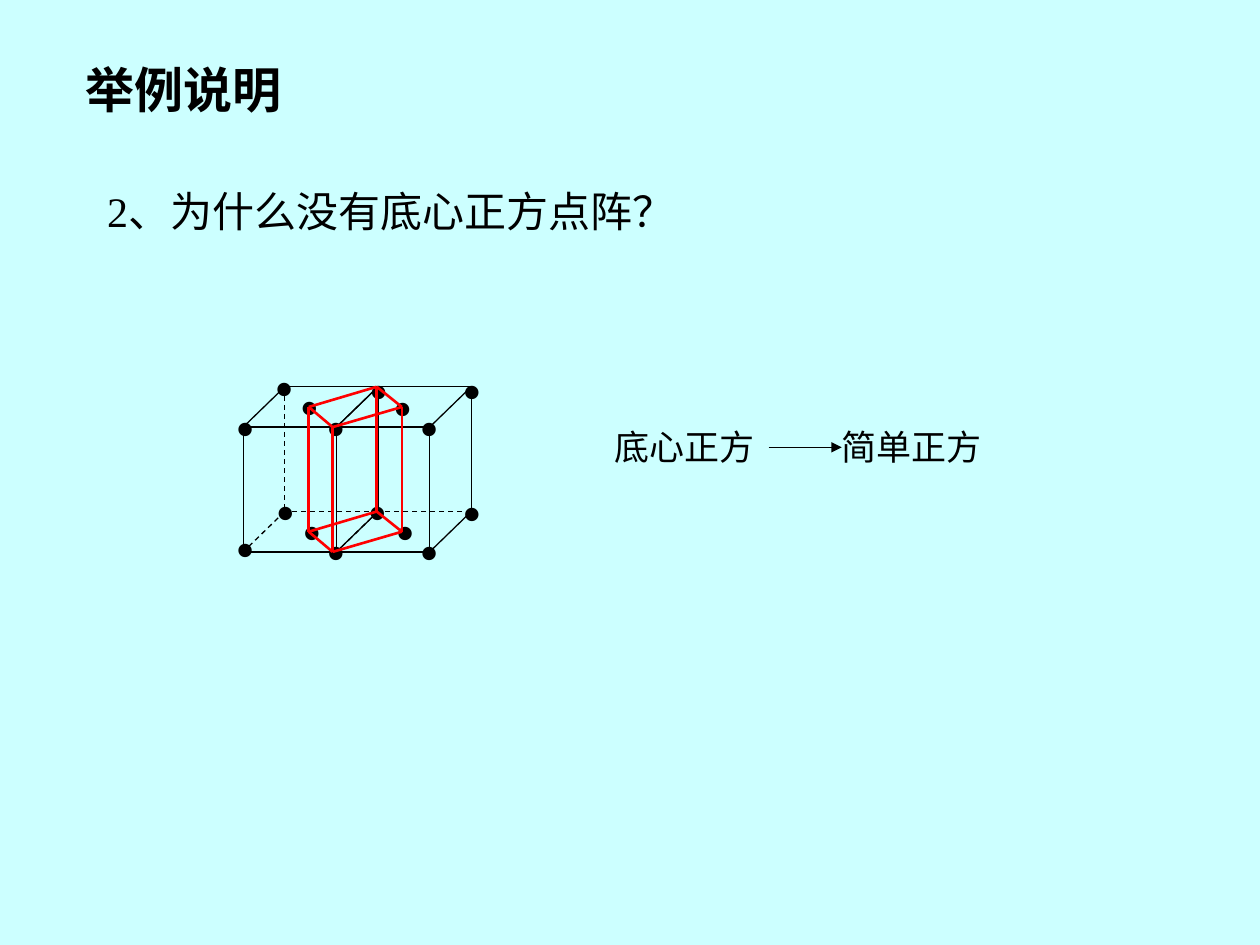
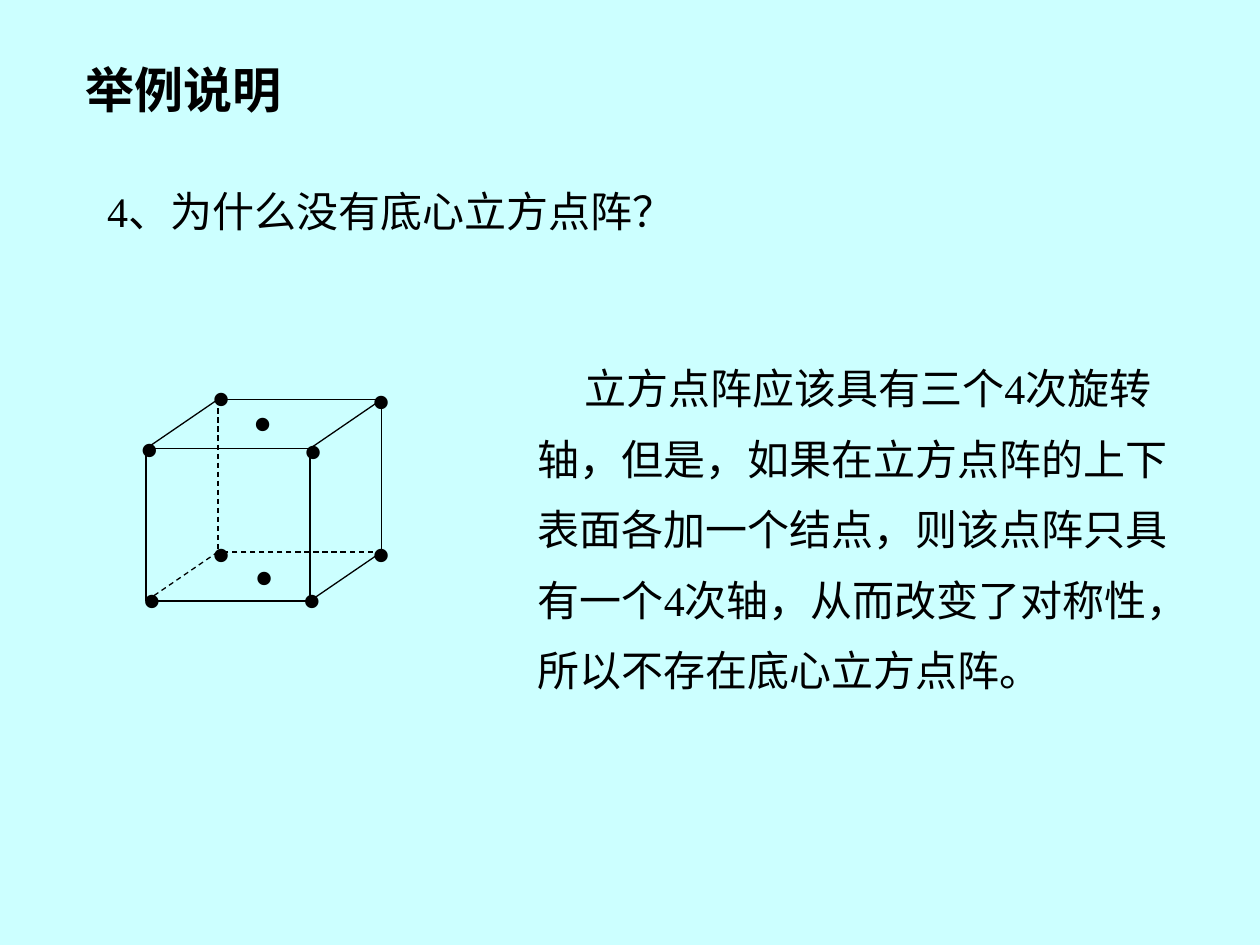
from dataclasses import dataclass

from lxml import etree
from pptx import Presentation
from pptx.dml.color import RGBColor
from pptx.enum.dml import MSO_LINE
from pptx.enum.shapes import MSO_CONNECTOR
from pptx.enum.text import MSO_ANCHOR, MSO_AUTO_SIZE, PP_ALIGN
from pptx.oxml.ns import qn
from pptx.util import Emu, Pt

STRAIGHT = MSO_CONNECTOR.STRAIGHT
DASH = MSO_LINE.DASH
MIDDLE, TOP = MSO_ANCHOR.MIDDLE, MSO_ANCHOR.TOP
NO_FIT, FIT_SHAPE = MSO_AUTO_SIZE.NONE, MSO_AUTO_SIZE.SHAPE_TO_FIT_TEXT
LEFT = PP_ALIGN.LEFT

EMU_PER_PX = 9144  # 100 px to the inch
COLORS = {"background": "CCFFFF", "ink": "000000", "new_cell": "FF0000"}
FONT = "Times New Roman"
TITLE = "举例说明"
TITLE_BOX = (58, 33, 267, 75)
QUESTION_BOX = (75, 142, 850, 67)
DOT_SIZE = (36, 63)

Point = tuple[int, int]
Box = tuple[int, int, int, int]


@dataclass(frozen=True)
class Prism:
    """Four top corners, repeated one height below."""
    corners: tuple[Point, Point, Point, Point]
    height: int
    color: str = "ink"
    weight: float = 0.75
    hidden_corner: int | None = None   # edges at this bottom corner are dashed
    shared_upright: int | None = None  # drawn by the neighbouring cell


def px(length: int) -> Emu:
    return Emu(length * EMU_PER_PX)


def rgb(name: str) -> RGBColor:
    return RGBColor.from_string(COLORS[name])


def place(shape, box: Box) -> None:
    shape.left, shape.top, shape.width, shape.height = map(px, box)


def write(shape, text: str, size: int, bold: bool = False):
    paragraph = shape.text_frame.paragraphs[0]
    paragraph.text = text
    paragraph.alignment = LEFT
    paragraph.space_before = Pt(0)
    font = paragraph.font
    font.name, font.size, font.bold = FONT, Pt(size), bold
    font.color.rgb = rgb("ink")
    return paragraph


def add_label(slide, box: Box, text: str, size: int, wrap: bool = True):
    label = slide.shapes.add_textbox(*map(px, box))
    label.text_frame.word_wrap = wrap
    label.text_frame.auto_size = FIT_SHAPE
    return write(label, text, size)


def add_line(slide, start: Point, end: Point, color: str = "ink",
             weight: float = 0.75, dashed: bool = False, arrow: bool = False) -> None:
    edge = slide.shapes.add_connector(STRAIGHT, *map(px, start + end))
    edge.line.color.rgb = rgb(color)
    edge.line.width = Pt(weight)
    if dashed:
        edge.line.dash_style = DASH
    if arrow:
        etree.SubElement(edge.line._get_or_add_ln(), qn("a:tailEnd"), type="triangle")
    etree.SubElement(edge._element.spPr, qn("a:effectLst"))


def add_prism(slide, prism: Prism) -> None:
    top = prism.corners
    bottom = [(x, y + prism.height) for x, y in top]
    for i in range(4):
        j = (i + 1) % 4
        add_line(slide, top[i], top[j], prism.color, prism.weight)
        add_line(slide, bottom[i], bottom[j], prism.color, prism.weight,
                 dashed=prism.hidden_corner in (i, j))
        if i != prism.shared_upright:
            add_line(slide, top[i], bottom[i], prism.color, prism.weight,
                     dashed=prism.hidden_corner == i)


def add_dots(slide, positions: list[Point]) -> None:
    for position in positions:
        add_label(slide, position + DOT_SIZE, "•", 32, wrap=False)


def add_question_slide(deck, question: str):
    slide = deck.slides.add_slide(deck.slide_layouts[1])
    title, body = slide.shapes.title, slide.placeholders[1]
    for holder, box, anchor in ((title, TITLE_BOX, MIDDLE), (body, QUESTION_BOX, TOP)):
        place(holder, box)
        holder.text_frame.auto_size = NO_FIT
        holder.text_frame.vertical_anchor = anchor
    write(title, TITLE, 28, bold=True)
    # Hanging indent without a bullet
    properties = body.text_frame.paragraphs[0]._p.get_or_add_pPr()
    properties.set("marL", str(px(38)))
    properties.set("indent", str(px(-38)))
    etree.SubElement(properties, qn("a:buNone"))
    write(body, question, 24)
    return slide


def build_tetragonal(deck) -> None:
    slide = add_question_slide(deck, "2、为什么没有底心正方点阵？")

    # Two neighbouring base-centred cells
    left_cell = ((193, 339), (267, 339), (300, 307), (226, 307))
    right_cell = tuple((x + 74, y) for x, y in left_cell)
    add_prism(slide, Prism(left_cell, 99, hidden_corner=3, shared_upright=1))
    add_prism(slide, Prism(right_cell, 99, hidden_corner=3))
    add_dots(slide, [
        (208, 275), (283, 277), (357, 277), (177, 307), (249, 307), (323, 307),
        (209, 373), (282, 373), (357, 374), (177, 403), (249, 405), (323, 405),
        (228, 290), (302, 291), (230, 389), (304, 389),
    ])

    # The smaller simple cell inside them
    simple_cell = ((245, 323), (299, 307), (319, 323), (264, 339))
    add_prism(slide, Prism(simple_cell, 99, "new_cell", 1.5))

    # Conclusion, with the two terms on tab stops
    conclusion = add_label(slide, (442, 333, 458, 43), "", 20)
    tabs = etree.Element(qn("a:tabLst"))
    for stop in (36, 216):
        etree.SubElement(tabs, qn("a:tab"), pos=str(px(stop)), algn="l")
    properties = conclusion._p.get_or_add_pPr()
    properties.insert(list(properties).index(properties.find(qn("a:defRPr"))), tabs)
    conclusion.text = "\t底心正方\t简单正方"
    add_line(slide, (610, 355), (668, 355), arrow=True)


def build_cubic(deck) -> None:
    slide = add_question_slide(deck, "4、为什么没有底心立方点阵？")

    # Base-centred cube
    cube = ((116, 356), (246, 356), (303, 317), (173, 317))
    add_prism(slide, Prism(cube, 121, hidden_corner=3))
    add_dots(slide, [
        (158, 283), (285, 285), (101, 323), (231, 325), (191, 303),
        (158, 407), (285, 407), (103, 443), (230, 443), (192, 425),
    ])

    # Explanation
    explanation = add_label(
        slide, (417, 267, 524, 290),
        "立方点阵应该具有三个4次旋转轴，但是，如果在立方点阵的上下表面各加一个结点，"
        "则该点阵只具有一个4次轴，从而改变了对称性，所以不存在底心立方点阵。", 24)
    explanation.line_spacing = 1.4
    explanation._p.get_or_add_pPr().set("indent", str(px(37)))


def main() -> None:
    deck = Presentation()
    deck.slide_width, deck.slide_height = px(1000), px(750)
    backdrop = deck.slide_master.background.fill
    backdrop.solid()
    backdrop.fore_color.rgb = rgb("background")
    build_tetragonal(deck)
    build_cubic(deck)
    deck.save("out.pptx")


if __name__ == "__main__":
    main()
